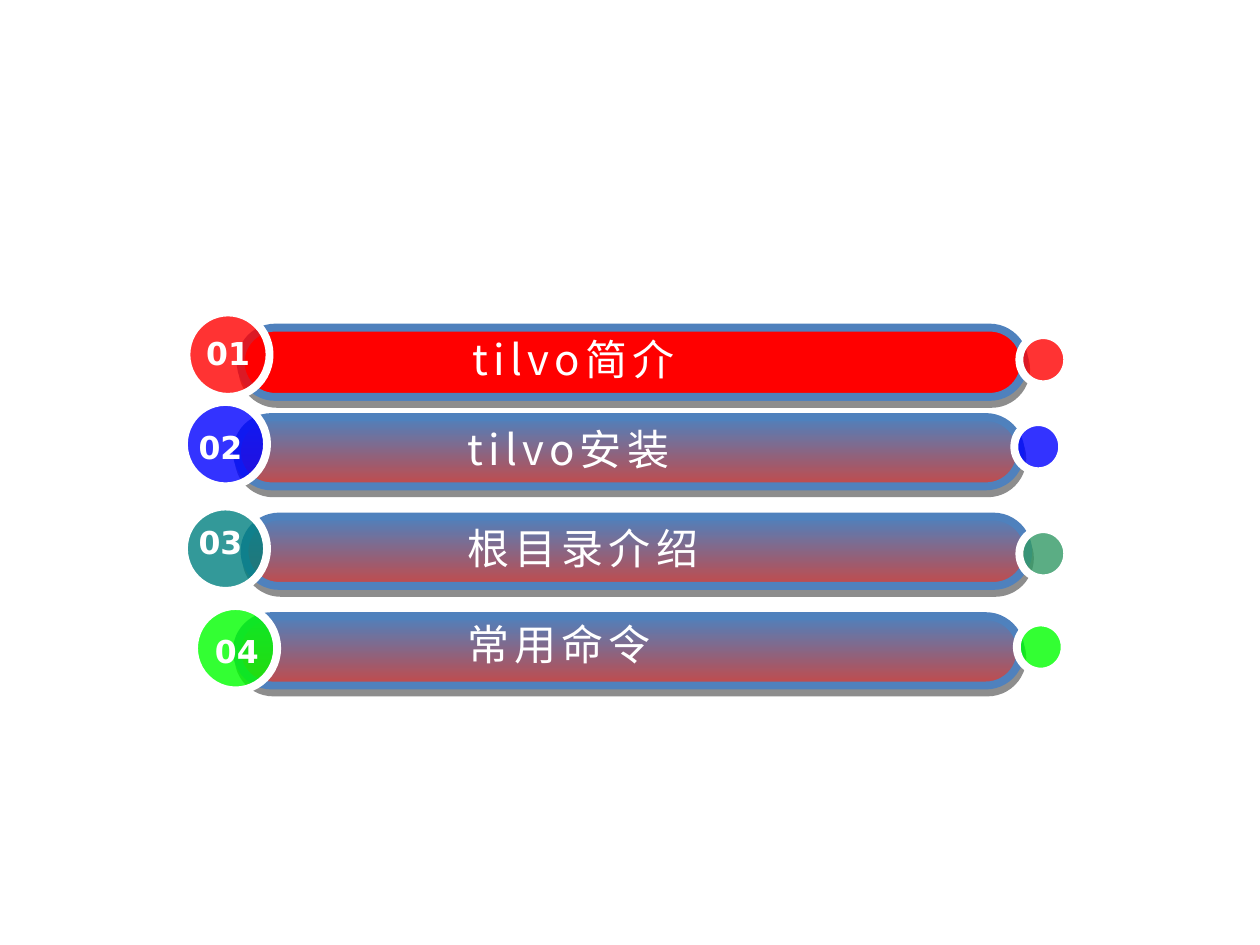
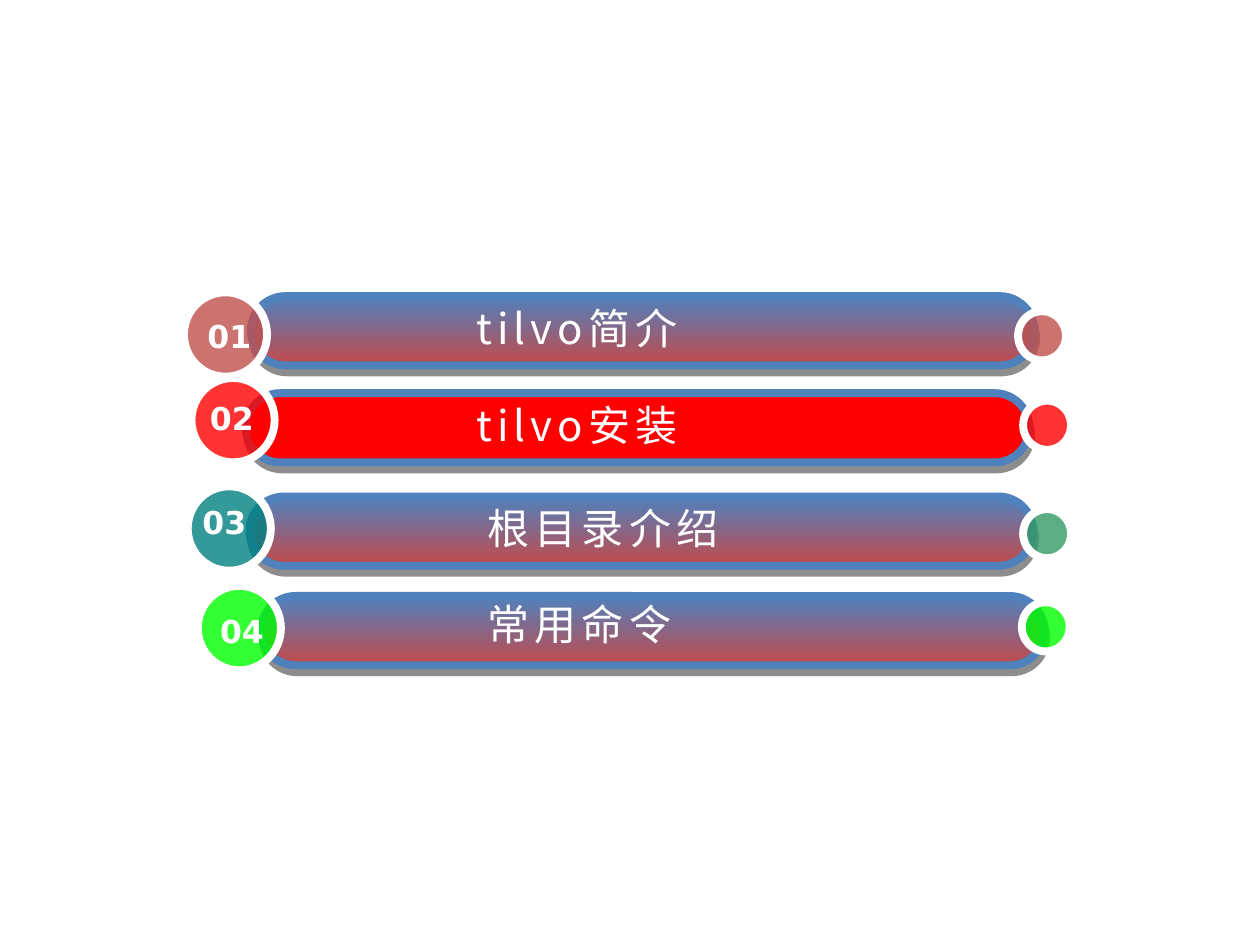
import dataclasses

import pptx
import pptx.dml.color
import pptx.enum.shapes
import pptx.enum.text
import pptx.oxml
import pptx.oxml.ns
import pptx.util

PX = 9144
WHITE = "FFFFFF"
BLUE = "4F81BD"
BRICK = "C34A4A"
RED = "FF0000"
SHADOW = "1C1C1C"
LABEL_FONT = "Noto Sans CJK SC"
NUMBER_FONT = "DejaVu Sans"
OUTLINE_POINTS = 4.5
BAR_SIZE = (622, 55)
BADGE_SIZE = (66, 67)
DOT_SIZE = (38, 39)
NUMBER_SIZE = (58, 40)
LABEL_SIZE = (283, 50)
TOPICS = ["tilvo简介", "tilvo安装", "根目录介绍", "常用命令"]


@dataclasses.dataclass
class AgendaRow:
    bar: tuple
    label: tuple
    badge: tuple
    number: tuple
    dot: tuple
    badge_color: str
    dot_color: str


INTRODUCTION_ROWS = [
    AgendaRow((191, 260), (365, 260), (148, 248), (152, 260), (809, 266), RED, RED),
    AgendaRow((188, 331), (361, 331), (146, 319), (146, 335), (805, 335), "0000FF", "0000FF"),
    AgendaRow((194, 410), (361, 410), (146, 402), (146, 410), (809, 420), "008080", "339966"),
    AgendaRow((188, 489), (361, 486), (154, 481), (159, 497), (807, 494), "00FF00", "00FF00"),
]
INSTALLATION_ROWS = [
    AgendaRow((199, 235), (368, 235), (146, 232), (153, 247), (808, 247), "C0504D", "C0504D"),
    AgendaRow((195, 312), (368, 312), (152, 300), (155, 312), (812, 318), RED, RED),
    AgendaRow((198, 394), (377, 394), (149, 386), (149, 394), (812, 404), "008080", "339966"),
    AgendaRow((207, 473), (377, 470), (157, 465), (163, 481), (811, 478), "00FF00", "00FF00"),
]


def rgb(color):
    return pptx.dml.color.RGBColor.from_string(color)


def emu_box(position, size):
    return [length * PX for length in (*position, *size)]


def add_outlined_shape(slide, kind, position, size, line_color):
    shape = slide.shapes.add_shape(kind, *emu_box(position, size))
    shape.shadow.inherit = False
    shape.line.color.rgb = rgb(line_color)
    shape.line.width = pptx.util.Pt(OUTLINE_POINTS)
    return shape


def add_drop_shadow(shape):
    effects = shape._element.spPr.find(pptx.oxml.ns.qn("a:effectLst"))
    effects.append(pptx.oxml.parse_xml(
        f'<a:outerShdw {pptx.oxml.ns.nsdecls("a")} blurRad="0" dist="52070" '
        f'dir="4560000" algn="ctr" rotWithShape="0"><a:srgbClr val="{SHADOW}">'
        '<a:alpha val="50000"/></a:srgbClr></a:outerShdw>'
    ))


def add_bar(slide, position, highlighted):
    bar = add_outlined_shape(
        slide, pptx.enum.shapes.MSO_SHAPE.ROUNDED_RECTANGLE, position, BAR_SIZE, BLUE)
    bar.adjustments[0] = 0.5
    if highlighted:
        bar.fill.solid()
        bar.fill.fore_color.rgb = rgb(RED)
    else:
        bar.fill.gradient()
        bar.fill.gradient_angle = 270
        for stop, color in zip(bar.fill.gradient_stops, (BLUE, BRICK)):
            stop.color.rgb = rgb(color)
    add_drop_shadow(bar)


def add_circle(slide, position, size, color):
    circle = add_outlined_shape(
        slide, pptx.enum.shapes.MSO_SHAPE.OVAL, position, size, WHITE)
    circle.fill.solid()
    circle.fill.fore_color.rgb = rgb(color)
    color_element = circle._element.spPr.find(
        pptx.oxml.ns.qn("a:solidFill")).find(pptx.oxml.ns.qn("a:srgbClr"))
    color_element.append(pptx.oxml.parse_xml(
        f'<a:alpha {pptx.oxml.ns.nsdecls("a")} val="80000"/>'))


def add_text(slide, text, position, size, *, font, points, bold=False,
             alignment=pptx.enum.text.PP_ALIGN.LEFT, spacing=0):
    text_box = slide.shapes.add_textbox(*emu_box(position, size))
    frame = text_box.text_frame
    frame.word_wrap = True
    frame.auto_size = pptx.enum.text.MSO_AUTO_SIZE.SHAPE_TO_FIT_TEXT
    paragraph = frame.paragraphs[0]
    paragraph.alignment = alignment
    run = paragraph.add_run()
    run.text = text
    run.font.name = font
    run.font.size = pptx.util.Pt(points)
    run.font.bold = bold
    run.font.color.rgb = rgb(WHITE)
    properties = run._r.get_or_add_rPr()
    properties.set("spc", str(spacing * 100))
    properties.append(pptx.oxml.parse_xml(
        f'<a:ea {pptx.oxml.ns.nsdecls("a")} typeface="{font}"/>'))


def add_agenda_row(slide, row, number, topic, highlighted):
    add_bar(slide, row.bar, highlighted)
    add_text(slide, topic, row.label, LABEL_SIZE, font=LABEL_FONT, points=24, spacing=3)
    add_circle(slide, row.badge, BADGE_SIZE, row.badge_color)
    add_text(slide, f"{number:02d}", row.number, NUMBER_SIZE, font=NUMBER_FONT,
             points=18, bold=True, alignment=pptx.enum.text.PP_ALIGN.CENTER)
    add_circle(slide, row.dot, DOT_SIZE, row.dot_color)


def add_agenda_slide(presentation, rows, current):
    slide = presentation.slides.add_slide(presentation.slide_layouts[6])
    for number, (row, topic) in enumerate(zip(rows, TOPICS), start=1):
        add_agenda_row(slide, row, number, topic, number == current)


def main():
    presentation = pptx.Presentation()
    presentation.slide_width = 1000 * PX
    presentation.slide_height = 750 * PX
    add_agenda_slide(presentation, INTRODUCTION_ROWS, current=1)
    add_agenda_slide(presentation, INSTALLATION_ROWS, current=2)
    presentation.save("out.pptx")


if __name__ == "__main__":
    main()
